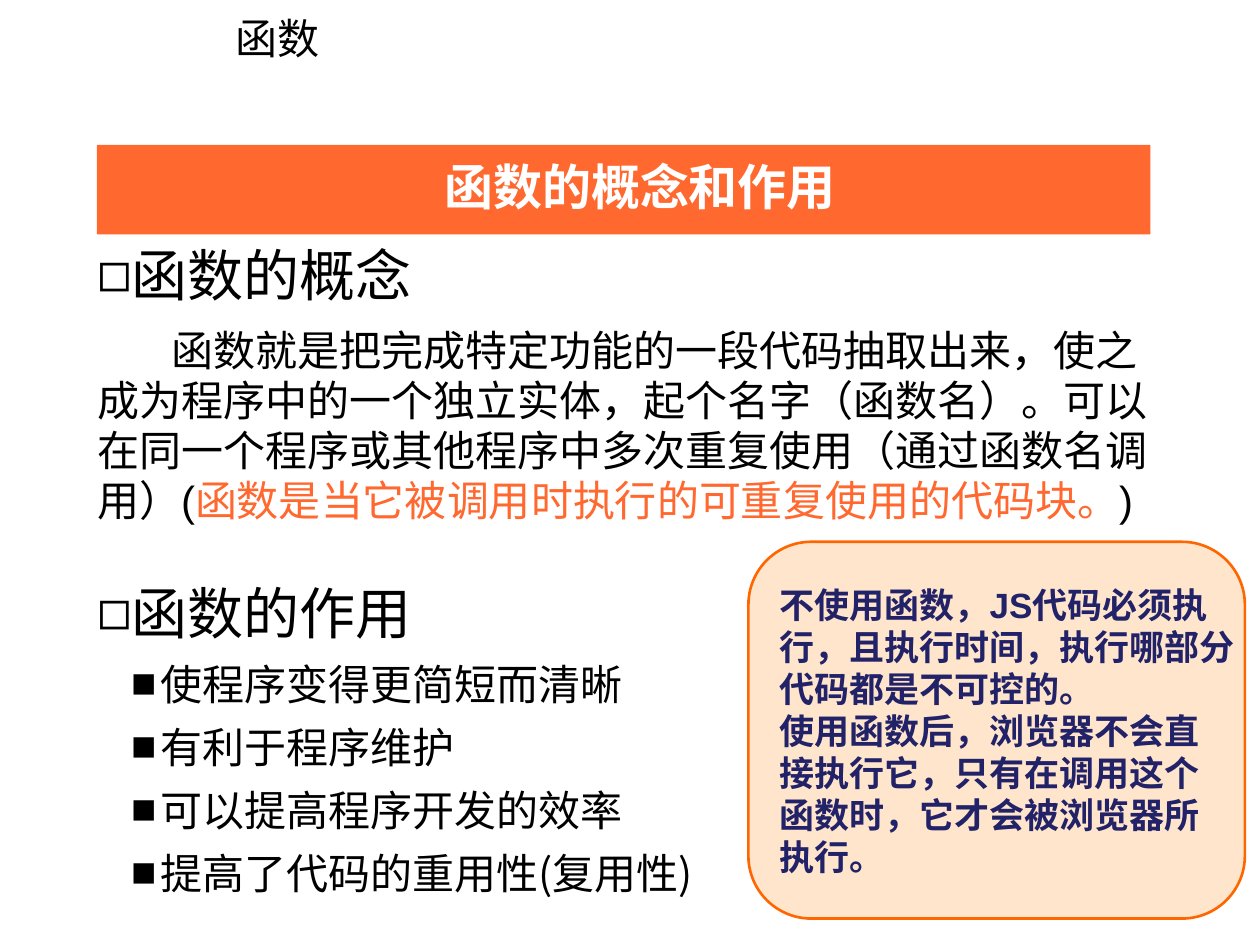
"""Build a slide explaining the concept and purpose of functions."""
from dataclasses import dataclass

from lxml import etree
from pptx import Presentation
from pptx import util as u
from pptx.dml import color
from pptx.enum import shapes, text
from pptx.oxml import ns


@dataclass(frozen=True)
class Theme:
    ink: str = "000000"
    accent: str = "FF682F"
    light: str = "FFFFFF"
    note_fill: str = "FFCC99"
    note_line: str = "FF6600"
    note_ink: str = "222268"
    latin: str = "Arial"
    chinese: str = "Noto Sans CJK SC"
    heading: int = 32
    banner: int = 28
    body: int = 24
    note: int = 20


@dataclass(frozen=True)
class Box:
    left: float
    top: float
    width: float
    height: float

    def lengths(self) -> list:
        return [u.Inches(v) for v in (self.left, self.top, self.width, self.height)]


@dataclass(frozen=True)
class Style:
    size: int
    spacing: float
    before: float = 0
    level: int = 0
    margin: float = 0
    indent: float = 0
    bullet: str = ""
    font: str = "Arial"


THEME = Theme()
BANNER = Box(0.77, 1.15, 8.36, 0.71)
TOPIC = Box(1.77, 0.05, 2.58, 0.5)
TITLE = Box(1.3, 1.19, 7.56, 0.57)
BODY = Box(0.67, 1.86, 8.72, 5.3)
NOTE = Box(5.94, 4.3, 3.94, 2.99)

CONCEPT = Style(THEME.heading, 38.5, bullet="◻")
PURPOSE = Style(THEME.heading, 38.5, before=30.5, bullet="◻")
PROSE = Style(THEME.body, 28.5, before=10, indent=0.59)
ITEM = Style(THEME.body, 36, level=1, margin=0.5, indent=-0.23,
             bullet="■", font=THEME.chinese)

DEFINITION = (
    ("函数就是把完成特定功能的一段代码抽取出来，使之成为程序中的一个独立实体，"
     "起个名字（函数名）。可以在同一个程序或其他程序中多次重复使用"
     "（通过函数名调用）(", THEME.ink),
    ("函数是当它被调用时执行的可重复使用的代码块。", THEME.accent),
    (")", THEME.ink),
)
BENEFITS = ("使程序变得更简短而清晰", "有利于程序维护",
            "可以提高程序开发的效率", "提高了代码的重用性(复用性)")
NOTE_LINES = ("不使用函数，JS代码必须执", "行，且执行时间，执行哪部分",
              "代码都是不可控的。", "使用函数后，浏览器不会直",
              "接执行它，只有在调用这个", "函数时，它才会被浏览器所", "执行。")


def rgb(value: str) -> color.RGBColor:
    return color.RGBColor.from_string(value)


def add_span(para, words: str, *, size: int, ink: str = THEME.ink,
             font: str = THEME.chinese, bold: bool = False) -> None:
    span = para.add_run()
    span.text = words
    span.font.size = u.Pt(size)
    span.font.name = font
    span.font.bold = bold
    span.font.color.rgb = rgb(ink)
    east = etree.SubElement(span.font._element, ns.qn("a:ea"))
    east.set("typeface", THEME.chinese)


def prepare(frame, anchor=text.MSO_ANCHOR.TOP, wrap: bool = True) -> None:
    frame.word_wrap = wrap
    frame.auto_size = text.MSO_AUTO_SIZE.NONE
    frame.vertical_anchor = anchor
    frame.margin_left = frame.margin_right = u.Inches(0.1)
    frame.margin_top = frame.margin_bottom = u.Inches(0.05)


def place(shape, box: Box) -> None:
    shape.left, shape.top, shape.width, shape.height = box.lengths()


def next_para(frame):
    first = frame.paragraphs[0]
    return frame.add_paragraph() if first.runs else first


def format_para(para, style: Style) -> None:
    para.level = style.level
    para.alignment = text.PP_ALIGN.LEFT
    para.line_spacing = u.Pt(style.spacing)
    para.space_before = u.Pt(style.before)
    para.space_after = u.Pt(0)
    props = para._p.get_or_add_pPr()
    props.set("marL", str(u.Inches(style.margin)))
    props.set("indent", str(u.Inches(style.indent)))
    if style.bullet:
        tint = etree.SubElement(props, ns.qn("a:buClr"))
        etree.SubElement(tint, ns.qn("a:srgbClr")).set("val", THEME.ink)
        face = etree.SubElement(props, ns.qn("a:buFont"))
        face.set("typeface", THEME.latin)
        etree.SubElement(props, ns.qn("a:buChar")).set("char", style.bullet)
    else:
        etree.SubElement(props, ns.qn("a:buNone"))


def add_body_para(frame, style: Style, *spans: tuple[str, str]) -> None:
    para = next_para(frame)
    format_para(para, style)
    for words, ink in spans:
        add_span(para, words, size=style.size, ink=ink, font=style.font)


def add_panel(page, kind, box: Box, fill: str):
    panel = page.shapes.add_shape(kind, *box.lengths())
    panel.shadow.inherit = False
    panel.fill.solid()
    panel.fill.fore_color.rgb = rgb(fill)
    panel.line.fill.background()
    return panel


def add_banner(page) -> None:
    banner = add_panel(page, shapes.MSO_SHAPE.RECTANGLE, BANNER, THEME.accent)
    page.shapes.element.insert(2, banner.element)
    title = page.shapes.title
    place(title, TITLE)
    prepare(title.text_frame)
    para = title.text_frame.paragraphs[0]
    para.alignment = text.PP_ALIGN.CENTER
    para.line_spacing = u.Pt(34)
    add_span(para, "函数的概念和作用", size=THEME.banner, ink=THEME.light, bold=True)


def add_topic(page) -> None:
    topic = page.shapes.add_textbox(*TOPIC.lengths())
    prepare(topic.text_frame)
    para = topic.text_frame.paragraphs[0]
    para.line_spacing = u.Pt(29)
    add_span(para, "函数", size=THEME.body)


def add_body(page) -> None:
    body = page.placeholders[1]
    place(body, BODY)
    frame = body.text_frame
    prepare(frame)
    add_body_para(frame, CONCEPT, ("函数的概念", THEME.ink))
    add_body_para(frame, PROSE, *DEFINITION)
    add_body_para(frame, PURPOSE, ("函数的作用", THEME.ink))
    for benefit in BENEFITS:
        add_body_para(frame, ITEM, (benefit, THEME.ink))


def add_note(page) -> None:
    kind = shapes.MSO_SHAPE.FLOWCHART_ALTERNATE_PROCESS
    note = add_panel(page, kind, NOTE, THEME.note_fill)
    tint = note.element.spPr.find(ns.qn("a:solidFill"))[0]
    etree.SubElement(tint, ns.qn("a:alpha")).set("val", "50000")
    note.line.color.rgb = rgb(THEME.note_line)
    note.line.width = u.Pt(1.5)
    prepare(note.text_frame, text.MSO_ANCHOR.MIDDLE, wrap=False)
    for line in NOTE_LINES:
        para = next_para(note.text_frame)
        para.alignment = text.PP_ALIGN.LEFT
        para.line_spacing = u.Pt(24)
        add_span(para, line, size=THEME.note, ink=THEME.note_ink,
                 font=THEME.latin, bold=True)


def main() -> None:
    deck = Presentation()
    deck.slide_width, deck.slide_height = u.Inches(10), u.Inches(7.5)
    page = deck.slides.add_slide(deck.slide_layouts[1])
    add_banner(page)
    add_topic(page)
    add_body(page)
    add_note(page)
    deck.save("out.pptx")


if __name__ == "__main__":
    main()
